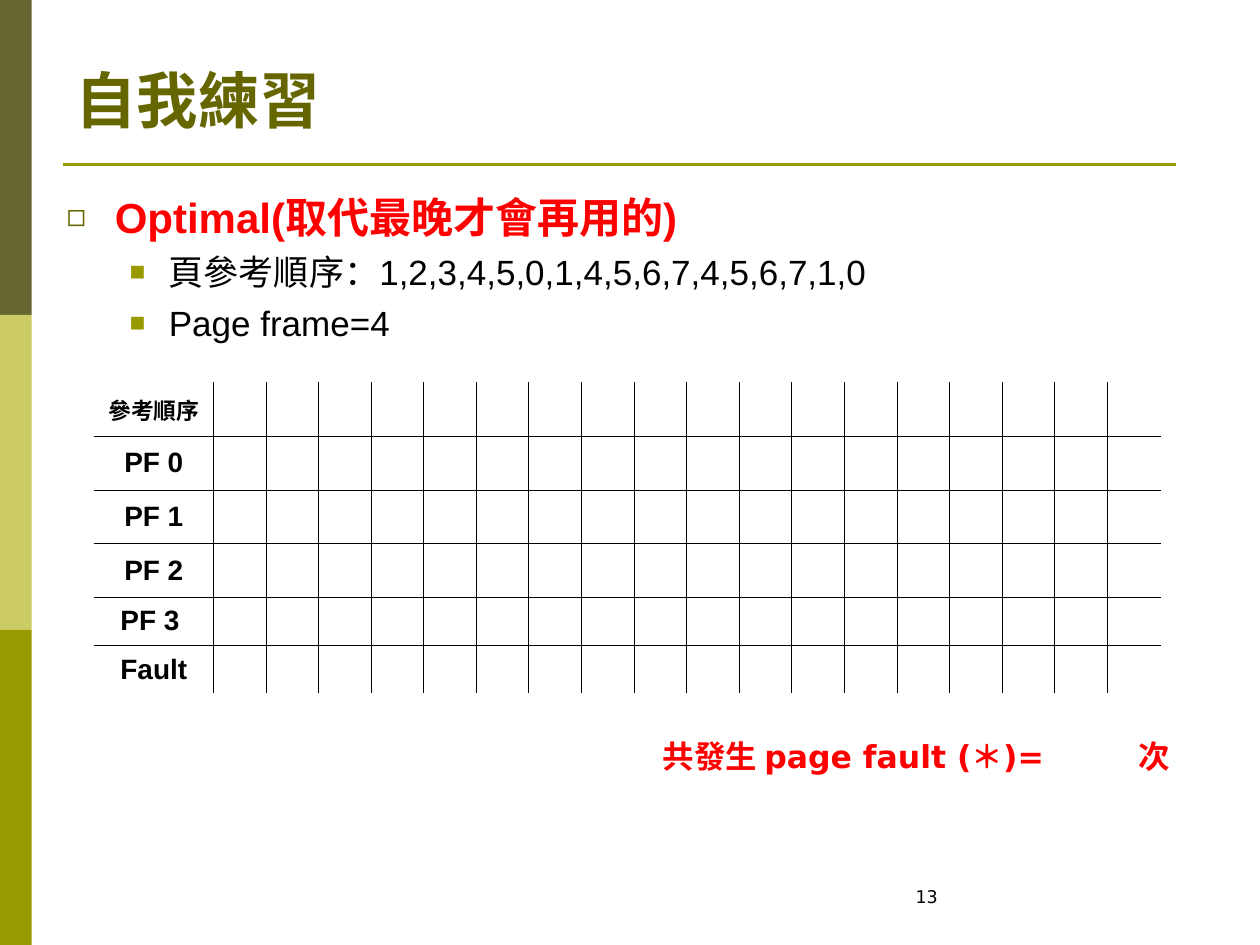
import pptx
import pptx.util
from pptx.dml.color import RGBColor
from pptx.enum.shapes import MSO_CONNECTOR, MSO_SHAPE
from pptx.enum.text import MSO_ANCHOR, MSO_AUTO_SIZE, PP_ALIGN
from pptx.oxml.ns import qn
from lxml import etree

Cm, Pt = pptx.util.Cm, pptx.util.Pt

BLACK = RGBColor(0x00, 0x00, 0x00)
RED = RGBColor(0xFF, 0x00, 0x00)
OLIVE = RGBColor(0x99, 0x99, 0x00)
DARK_OLIVE = RGBColor(0x66, 0x66, 0x00)
GREY_OLIVE = RGBColor(0x66, 0x66, 0x33)
LIGHT_OLIVE = RGBColor(0xCC, 0xCC, 0x66)

TITLE = "自我練習"
BODY = [
    (0, "Optimal(取代最晚才會再用的)"),
    (1, "頁參考順序：1,2,3,4,5,0,1,4,5,6,7,4,5,6,7,1,0"),
    (1, "Page frame=4"),
]
ROW_LABELS = ["參考順序", "PF 0", "PF 1", "PF 2", "PF 3 ", "Fault"]
STEP_COUNT = 18
FAULT_TOTAL = "共發生 page fault (＊)=\t次"
PAGE_NUMBER = "13"

TITLE_FONT = dict(size=Pt(35), name="Arial", bold=True)
LEVELS = [
    dict(font=dict(size=Pt(24), name="Arial", bold=True), color=RED, before=Pt(0),
         left=0.97, hanging=0.97, bullet="◻", bullet_color=DARK_OLIVE),
    dict(font=dict(size=Pt(20), name="Arial", bold=False), color=BLACK, before=Pt(5),
         left=2.06, hanging=0.79, bullet="■", bullet_color=OLIVE),
]
HEADER_FONT = dict(size=Pt(13), name="Arial", bold=True)
LABEL_FONT = dict(size=Pt(16), name="Arial", bold=True)
TOTAL_FONT = dict(size=Pt(18), name="DejaVu Sans", bold=True)
NUMBER_FONT = dict(size=Pt(10), name="DejaVu Sans", bold=False)

LABEL_WIDTH, STEP_WIDTH = 2.4, 1.06
ROW_HEIGHTS = [1.08] * 4 + [0.97] * 2


def add_span(para, text, font, color):
    span = para.add_run()
    span.text = text
    for name, value in font.items():
        setattr(span.font, name, value)
    span.font.color.rgb = color


def place(shape, left, top, width, height):
    shape.left, shape.top = Cm(left), Cm(top)
    shape.width, shape.height = Cm(width), Cm(height)


def set_bullet(para, level):
    properties = para._p.get_or_add_pPr()
    properties.set("marL", str(Cm(level["left"])))
    properties.set("indent", str(-Cm(level["hanging"])))
    color = etree.SubElement(properties, qn("a:buClr"))
    etree.SubElement(color, qn("a:srgbClr"), val=str(level["bullet_color"]))
    etree.SubElement(properties, qn("a:buSzPct"), val="75000")
    etree.SubElement(properties, qn("a:buChar"), char=level["bullet"])


def set_borders(cell, sides):
    """Draw thin black lines on the named sides, given in the order L, R, T, B."""
    properties = cell._tc.get_or_add_tcPr()
    for side in sides:
        line = etree.SubElement(properties, qn("a:ln" + side), w=str(Pt(0.45)))
        fill = etree.SubElement(line, qn("a:solidFill"))
        etree.SubElement(fill, qn("a:srgbClr"), val=str(BLACK))


def add_decoration(page):
    for index, color in enumerate([GREY_OLIVE, LIGHT_OLIVE, OLIVE]):
        band = page.shapes.add_shape(MSO_SHAPE.RECTANGLE, 0, Cm(6.35 * index), Cm(0.64), Cm(6.35))
        band.shadow.inherit = False
        band.fill.solid()
        band.fill.fore_color.rgb = color
        band.line.fill.background()
    rule = page.shapes.add_connector(MSO_CONNECTOR.STRAIGHT, Cm(1.27), Cm(3.32), Cm(23.7), Cm(3.32))
    rule.line.color.rgb = OLIVE
    rule.line.width = Pt(1.5)
    etree.SubElement(rule._element.spPr, qn("a:effectLst"))


def fill_title(title):
    place(title, 1.27, 1.12, 23.24, 1.75)
    title.text_frame.vertical_anchor = MSO_ANCHOR.BOTTOM
    title.text_frame.auto_size = MSO_AUTO_SIZE.NONE
    para = title.text_frame.paragraphs[0]
    para.alignment = PP_ALIGN.LEFT
    add_span(para, TITLE, TITLE_FONT, DARK_OLIVE)


def fill_body(body):
    place(body, 1.09, 3.73, 23.44, 13.59)
    frame = body.text_frame
    frame.auto_size = MSO_AUTO_SIZE.NONE
    for index, (depth, text) in enumerate(BODY):
        para = frame.add_paragraph() if index else frame.paragraphs[0]
        level = LEVELS[depth]
        para.level = depth
        para.space_before = level["before"]
        set_bullet(para, level)
        add_span(para, text, level["font"], level["color"])


def add_frame_table(page):
    row_count, column_count = len(ROW_LABELS), STEP_COUNT + 1
    table = page.shapes.add_table(
        row_count, column_count, Cm(1.9), Cm(7.72),
        Cm(LABEL_WIDTH + STEP_COUNT * STEP_WIDTH), Cm(sum(ROW_HEIGHTS))).table
    table.first_row = table.horz_banding = False
    for index, column in enumerate(table.columns):
        column.width = Cm(STEP_WIDTH if index else LABEL_WIDTH)
    for row, height in zip(table.rows, ROW_HEIGHTS):
        row.height = Cm(height)

    for r in range(row_count):
        for c in range(column_count):
            cell = table.cell(r, c)
            inner = {"L": c > 0, "R": c < column_count - 1, "T": r > 0, "B": r < row_count - 1}
            set_borders(cell, [side for side, drawn in inner.items() if drawn])
            cell.fill.background()
            cell.vertical_anchor = MSO_ANCHOR.MIDDLE
            if c:
                cell.margin_top = cell.margin_bottom = 0
            else:
                para = cell.text_frame.paragraphs[0]
                para.alignment = PP_ALIGN.CENTER
                add_span(para, ROW_LABELS[r], LABEL_FONT if r else HEADER_FONT, BLACK)


def add_text(page, area, text, font, color, tab=None):
    box = page.shapes.add_textbox(*map(Cm, area))
    box.text_frame.word_wrap = True
    para = box.text_frame.paragraphs[0]
    if tab:
        tabs = etree.SubElement(para._p.get_or_add_pPr(), qn("a:tabLst"))
        etree.SubElement(tabs, qn("a:tab"), pos=str(Cm(tab)), algn="l")
    add_span(para, text, font, color)


def main():
    deck = pptx.Presentation()
    deck.slide_width, deck.slide_height = Cm(25.4), Cm(19.05)
    page = deck.slides.add_slide(deck.slide_layouts[1])
    add_decoration(page)
    fill_title(page.shapes.title)
    fill_body(page.placeholders[1])
    add_frame_table(page)
    add_text(page, (13.11, 14.73, 10.8, 1.02), FAULT_TOTAL, TOTAL_FONT, RED, tab=9.6)
    add_text(page, (18.21, 17.73, 5.92, 0.89), PAGE_NUMBER, NUMBER_FONT, BLACK)
    deck.save("out.pptx")


if __name__ == "__main__":
    main()
